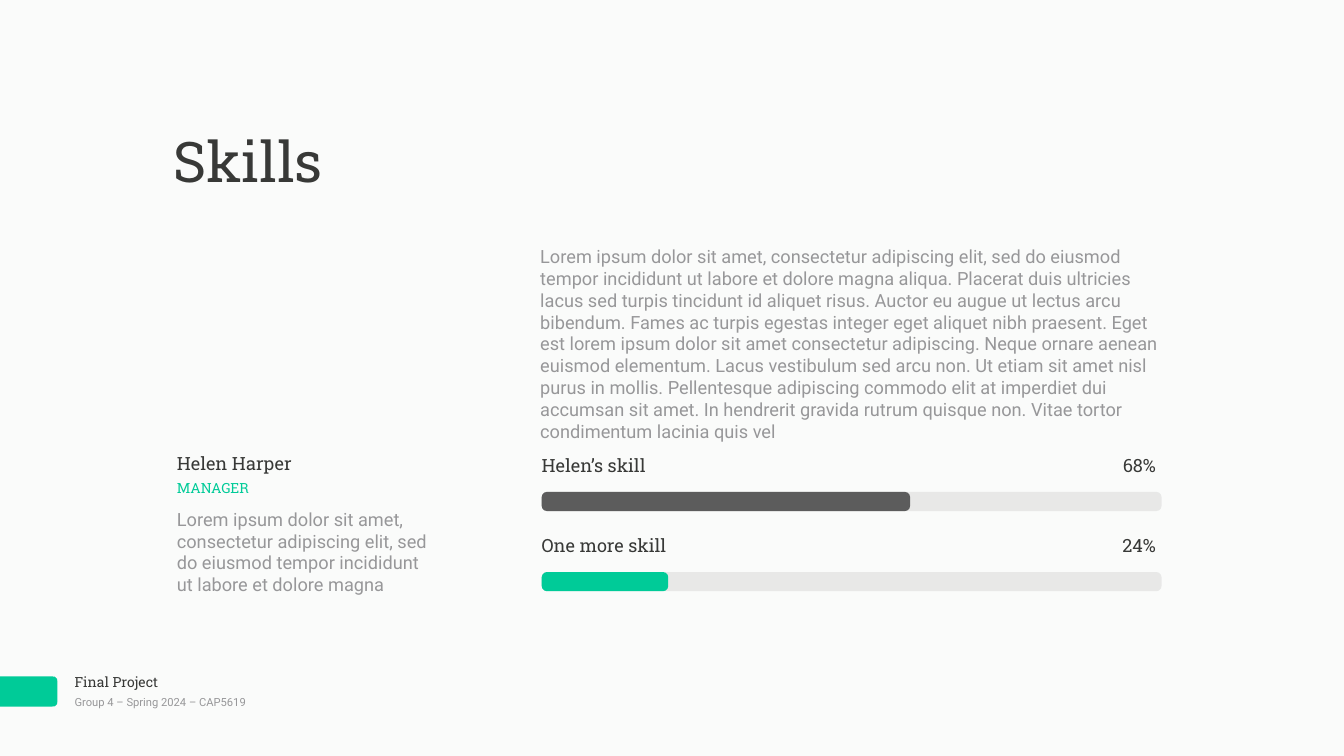
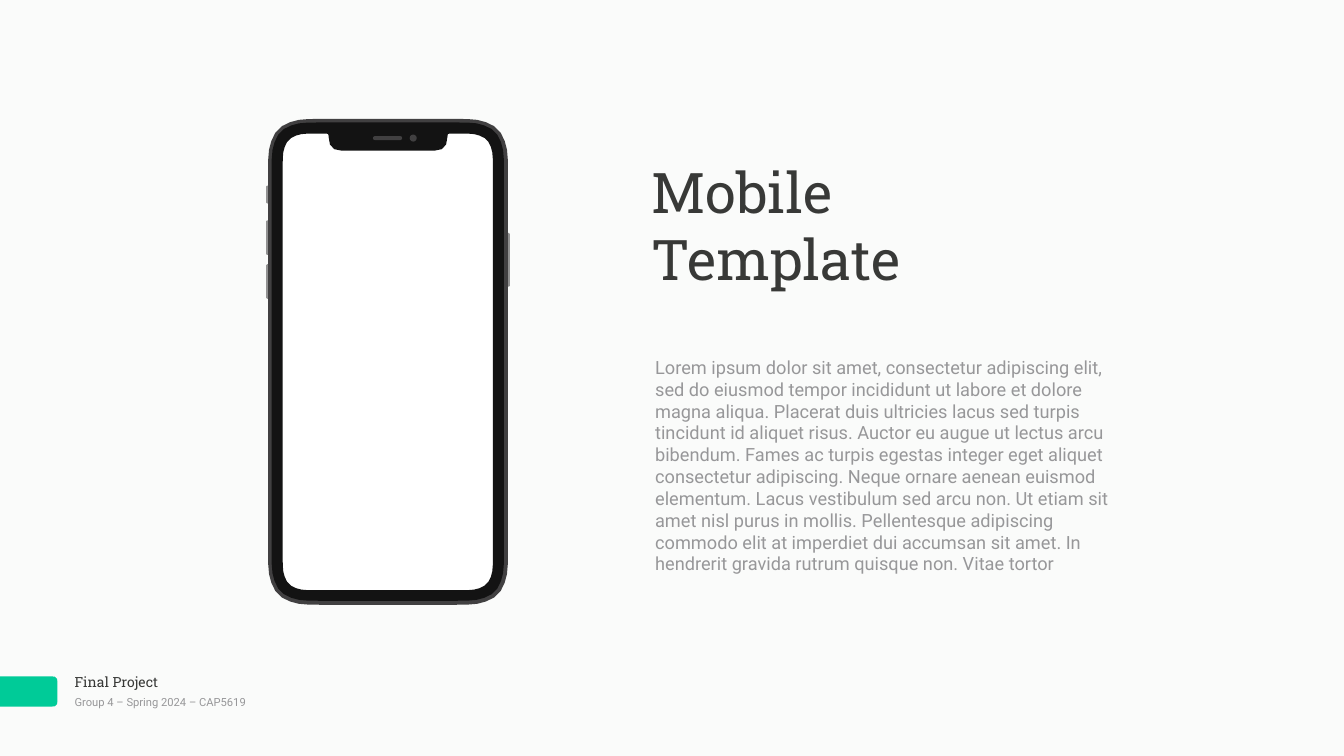
import lxml.etree
import pptx
import pptx.dml.color
import pptx.enum.shapes
import pptx.enum.text
import pptx.oxml.ns
import pptx.util
from pptx.dml.color import RGBColor
from pptx.util import Inches

# Colours
PAPER = RGBColor(0xFA, 0xFB, 0xFA)
WHITE = RGBColor(0xFF, 0xFF, 0xFF)
INK = RGBColor(0x38, 0x39, 0x37)
GREY = RGBColor(0x97, 0x97, 0x99)
GREEN = RGBColor(0x00, 0xCB, 0x98)
TRACK = RGBColor(0xB3, 0xB2, 0xB2)
DARK_BAR = RGBColor(0x5C, 0x5C, 0x5C)
KEY = RGBColor(0x91, 0x91, 0x91)
FRAME = RGBColor(0x41, 0x40, 0x41)
BEZEL = RGBColor(0x13, 0x13, 0x13)

# Text formats
SLAB, SANS = "Roboto Slab", "Roboto"
TITLE = {"name": SLAB, "size": pptx.util.Pt(80)}
LABEL = {"name": SLAB, "size": pptx.util.Pt(26)}
SMALL = {"name": SLAB, "size": pptx.util.Pt(20)}
BODY = {"name": SANS, "size": pptx.util.Pt(26)}
NOTE = {"name": SANS, "size": pptx.util.Pt(16)}
FRAME_FORMAT = {
    "margin_left": Inches(0.06), "margin_right": Inches(0.06),
    "margin_top": Inches(0.06), "margin_bottom": Inches(0.06),
    "word_wrap": True,
    "auto_size": pptx.enum.text.MSO_AUTO_SIZE.SHAPE_TO_FIT_TEXT,
}
MIDDLE = pptx.enum.text.MSO_ANCHOR.MIDDLE
RIGHT = pptx.enum.text.PP_ALIGN.RIGHT
ROUNDED = pptx.enum.shapes.MSO_SHAPE.ROUNDED_RECTANGLE
OVAL = pptx.enum.shapes.MSO_SHAPE.OVAL

# Curves: a start point, then three points per cubic segment
CORNER = [(1, 0), (0.71, 0), (0.57, 0), (0.41, 0.06),
          (0.24, 0.11), (0.11, 0.24), (0.06, 0.41),
          (0, 0.57), (0, 0.71), (0, 1)]
NOTCH_SIDE = [(-1.23, 0), (-1.18, 0), (-1.18, 0.02), (-1.18, 0.06),
              (-1.18, 0.25), (-1.1, 0.34), (-0.92, 0.34)]

# Wording
OPENING = ("Lorem ipsum dolor sit amet, consectetur adipiscing elit, sed do "
           "eiusmod tempor incididunt ut labore et dolore magna")
MIDDLE_PART = (" aliqua. Placerat duis ultricies lacus sed turpis tincidunt id "
               "aliquet risus. Auctor eu augue ut lectus arcu bibendum. Fames ac "
               "turpis egestas integer eget aliquet ")
SKILLS_PART = "nibh praesent. Eget est lorem ipsum dolor sit amet "
CLOSING = ("consectetur adipiscing. Neque ornare aenean euismod elementum. Lacus "
           "vestibulum sed arcu non. Ut etiam sit amet nisl purus in mollis. "
           "Pellentesque adipiscing commodo elit at imperdiet dui accumsan sit "
           "amet. In hendrerit gravida rutrum quisque non. Vitae tortor")
SKILLS_END = " condimentum lacinia quis vel"


def add_text(slide, box, wording, style, color, align=None, anchor=None):
    text_frame = slide.shapes.add_textbox(*map(Inches, box)).text_frame
    for name, value in FRAME_FORMAT.items():
        setattr(text_frame, name, value)
    if anchor is not None:
        text_frame.vertical_anchor = anchor
    paragraph = text_frame.paragraphs[0]
    paragraph.alignment = align
    run = paragraph.add_run()
    run.text = wording
    for name, value in style.items():
        setattr(run.font, name, value)
    run.font.color.rgb = color


def paint(shape, color, alpha=None):
    shape.shadow.inherit = False
    shape.fill.solid()
    shape.fill.fore_color.rgb = color
    shape.line.fill.background()
    if alpha is not None:
        qn = pptx.oxml.ns.qn
        tint = shape._element.spPr.find(qn("a:solidFill")).find(qn("a:srgbClr"))
        lxml.etree.SubElement(tint, qn("a:alpha"), val=str(alpha * 1000))


def add_preset(shapes, kind, box, color, alpha=None, rounding=None):
    shape = shapes.add_shape(kind, *map(Inches, box))
    if rounding is not None:
        shape.adjustments[0] = rounding
    paint(shape, color, alpha)


def trace(curve, steps):
    """Points along a chain of cubic curves."""
    points = [curve[0]]
    for start in range(0, len(curve) - 1, 3):
        a, b, c, d = curve[start:start + 4]
        for step in range(1, steps + 1):
            t = step / steps
            u = 1 - t
            points.append(tuple(
                u**3 * a[i] + 3 * u * u * t * b[i] + 3 * u * t * t * c[i] + t**3 * d[i]
                for i in (0, 1)))
    return points


def bend(reach):
    """Corner points, fewer for a small corner and one for a square corner."""
    if reach == 0:
        return [(0, 0)]
    steps = 3 if reach > 0.2 else 1
    return [(x * reach, y * reach) for x, y in trace(CORNER, steps)]


def contour(box, left_reach, right_reach):
    """Rounded outline that starts and ends on the top edge."""
    left, top, width, height = box
    right, bottom = left + width, top + height
    west, east = bend(left_reach), bend(right_reach)
    return ([(left + x, top + y) for x, y in west]
            + [(left + x, bottom - y) for x, y in reversed(west)]
            + [(right - x, bottom - y) for x, y in east]
            + [(right - x, top + y) for x, y in reversed(east)])


def add_outline(shapes, color, *contours):
    builder = None
    for points in contours:
        points = [(Inches(x), Inches(y)) for x, y in points]
        if builder is None:
            builder = shapes.build_freeform(*points[0])
        else:
            builder.move_to(*points[0])
        builder.add_line_segments(points[1:], close=True)
    paint(builder.convert_to_shape(), color)


def add_page(deck):
    slide = deck.slides.add_slide(deck.slide_layouts[6])
    slide.background.fill.solid()
    slide.background.fill.fore_color.rgb = PAPER
    # Footer
    add_text(slide, (1.42, 13.3, 3.19, 0.45), "Final Project", SMALL, INK)
    add_text(slide, (1.42, 13.73, 4.72, 0.38), "Group 4 – Spring 2024 – CAP5619",
             NOTE, GREY, anchor=MIDDLE)
    add_outline(slide.shapes, GREEN, contour((-0.1, 13.42, 1.24, 0.6), 0, 0.12))
    return slide


def add_skill(slide, top, skill, percent, bar_width, color):
    bar_top = top + 0.81
    add_preset(slide.shapes, ROUNDED, (10.75, bar_top, 12.3, 0.38), TRACK, 25, 0.27)
    add_preset(slide.shapes, ROUNDED, (10.75, bar_top, bar_width, 0.38), color,
               rounding=0.27)
    add_text(slide, (10.69, top, 3.03, 0.55), skill, LABEL, INK)
    add_text(slide, (19.97, top, 3.03, 0.55), percent, LABEL, INK, align=RIGHT)


def add_phone(slide):
    parts = slide.shapes.add_group_shape().shapes
    # Side keys
    add_outline(parts, KEY, contour((10.04, 4.62, 0.08, 1.07), 0, 0.05))
    add_outline(parts, KEY, *(contour((5.28, top, 0.08, height), 0.05, 0)
                              for top, height in ((3.68, 0.36), (4.37, 0.69), (5.24, 0.69))))
    # Screen, frame and bezel
    screen = (5.61, 2.65, 4.17, 9.06)
    add_preset(parts, ROUNDED, screen, WHITE, rounding=0.1)
    add_outline(parts, FRAME, contour((5.32, 2.36, 4.76, 9.64), 1.07, 1.07),
                contour((5.5, 2.53, 4.39, 9.3), 0.84, 0.84))
    side = trace(NOTCH_SIDE, 3)
    notch = [(7.7 - x, 2.65 + y) for x, y in side]
    notch += [(7.7 + x, 2.65 + y) for x, y in reversed(side)]
    add_outline(parts, BEZEL, contour((5.39, 2.43, 4.61, 9.49), 0.96, 0.96),
                contour(screen, 0.65, 0.65) + notch)
    # Camera and earpiece
    add_preset(parts, OVAL, (8.13, 2.67, 0.14, 0.14), FRAME)
    add_preset(parts, ROUNDED, (7.4, 2.7, 0.58, 0.08), FRAME, rounding=0.5)


def build_skills(deck):
    slide = add_page(deck)
    add_text(slide, (3.38, 2.46, 8.01, 1.46), "Skills", TITLE, INK)
    # Person
    add_text(slide, (3.45, 8.92, 4.51, 0.55), "Helen Harper", LABEL, INK)
    add_text(slide, (3.45, 10.02, 5.27, 1.86), OPENING, BODY, GREY)
    add_text(slide, (3.45, 9.45, 4.51, 0.45), "MANAGER", SMALL, GREEN)
    # Skill bars
    add_skill(slide, 10.54, "One more skill", "24%", 2.51, GREEN)
    add_skill(slide, 8.95, "Helen’s skill", "68%", 7.31, DARK_BAR)
    add_text(slide, (10.66, 4.81, 12.62, 4.05),
             OPENING + MIDDLE_PART + SKILLS_PART + CLOSING + SKILLS_END, BODY, GREY)


def build_mobile(deck):
    slide = add_page(deck)
    add_phone(slide)
    add_text(slide, (12.87, 3.06, 7.87, 2.8), "Mobile Template", TITLE, INK)
    add_text(slide, (12.94, 7.01, 9.32, 4.49), OPENING + MIDDLE_PART + CLOSING,
             BODY, GREY)


def main():
    deck = pptx.Presentation()
    deck.slide_width, deck.slide_height = Inches(26.67), Inches(15)
    build_skills(deck)
    build_mobile(deck)
    deck.save("out.pptx")


if __name__ == "__main__":
    main()
